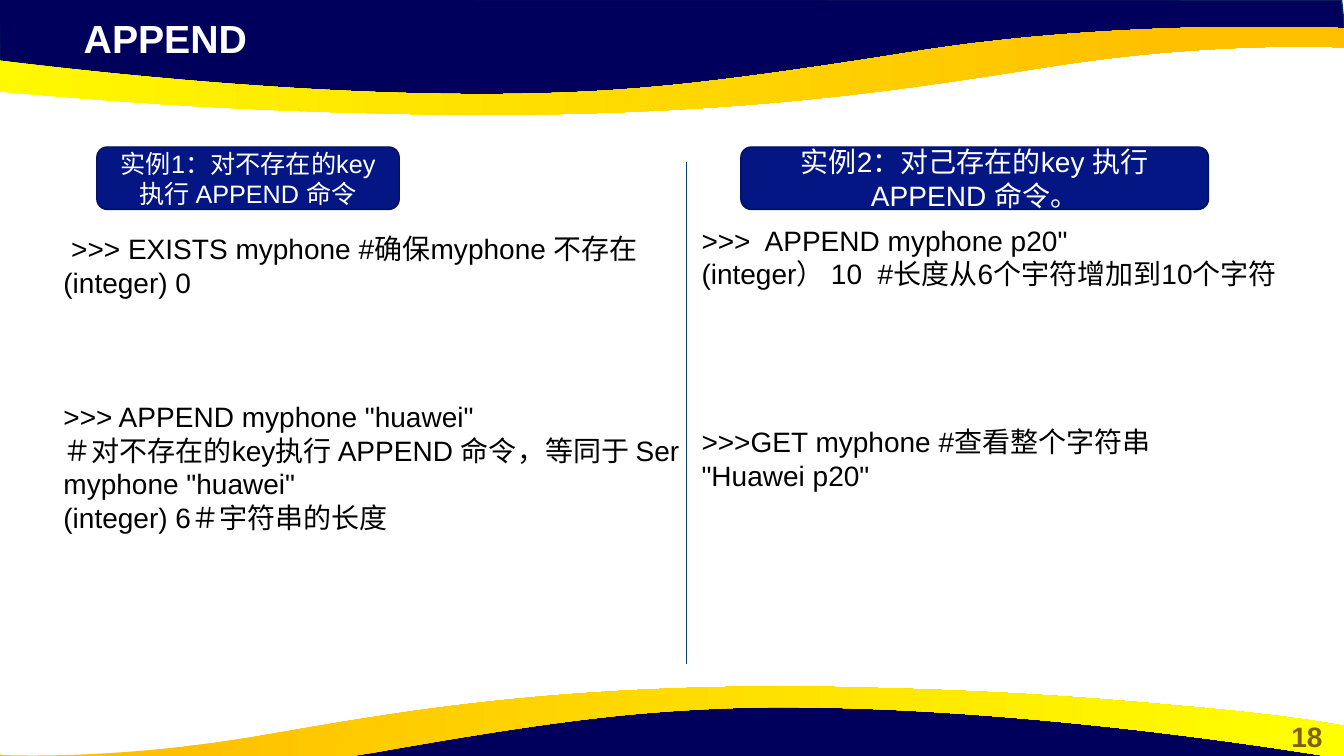
import pptx
import pptx.util
import pptx.dml.color
import pptx.enum.shapes
import pptx.enum.text
import pptx.oxml.ns
from dataclasses import dataclass
from lxml import etree

Pt = pptx.util.Pt
Align = pptx.enum.text.PP_ALIGN
Anchor = pptx.enum.text.MSO_ANCHOR
qualified = pptx.oxml.ns.qn

TITLE = "APPEND"
PAGE_NUMBER = "18"

# Labels: text, (left, top, width, height), type size
LABELS = [
    ("实例1：对不存在的key 执行 APPEND 命令", (69.2, 105, 216, 44.6), 18),
    ("实例2：对己存在的key 执行 APPEND 命令。", (529.2, 105, 334, 44.6), 20),
]

# Sessions: box, space between command groups, groups of lines
SESSIONS = [
    ((38.2, 162, 456, 225.4), 72, [
        [" >>> EXISTS myphone #确保myphone 不存在", "(integer) 0"],
        ['>>> APPEND myphone "huawei"',
         "＃对不存在的key执行 APPEND 命令，等同于 Ser",
         'myphone "huawei"',
         "(integer) 6＃宇符串的长度"],
    ]),
    ((494, 155.8, 453, 201), 96, [
        ['>>>  APPEND myphone p20"',
         "(integer） 10  #长度从6个宇符增加到10个字符"],
        [">>>GET myphone #查看整个字符串", '"Huawei p20"'],
    ]),
]

# Outlines: a single point is a straight step, three points are a Bezier curve
TOP_FIELD = [
    [(-0.7, -0.7)], [(0, 50.4)], [(211, 73.4)], [(402.5, 72)], [(572.4, 63.4)],
    [(731.5, 36)], [(891.4, 23.8)], [(961.2, 27.4)], [(958.3, 0)],
]
TOP_BAND = [
    [(347.8, 82.1)],
    [(319, 82.1), (288.7, 81.4), (256.3, 80.6)],
    [(148.3, 77.8), (79.2, 72), (25.9, 67.7)],
    [(-63.4, 60.5), (-93.6, 54), (-95.8, 54)],
    [(-95.8, 30.2), (-95.8, 30.2), (-95.8, 30.2)],
    [(-95.8, 30.2), (157, 70.6), (372.2, 67)],
    [(450.7, 65.5), (509.8, 59.8), (658.8, 36)],
    [(807.8, 13), (960, 20.2), (960, 20.2)],
    [(960, 23)], [(960, 33.8)], [(957.6, 33.8)],
    [(939.6, 33.1), (860.4, 31), (759.6, 46.1)],
    [(661, 61.2), (548.6, 81.4), (347.8, 82.1)],
]
BOTTOM_FIELD = [
    [(960, 571.7)], [(959, 521.3)], [(748.8, 497.5)], [(556.6, 499)],
    [(387.4, 508.3)], [(228.2, 535)], [(68.4, 547.2)], [(-2.2, 544.3)],
    [(0.7, 571)],
]
BOTTOM_BAND = [
    [(555.8, 490.3)],
    [(582.5, 490.3), (609.8, 491), (639.4, 491.8)],
    [(738, 494.6), (800.6, 500.4), (848.9, 504.7)],
    [(930.2, 511.9), (957.6, 518.4), (960, 518.4)],
    [(960, 542.2), (960, 542.2), (960, 542.2)],
    [(960, 542.2), (730, 501.8), (534.2, 505.4)],
    [(462.2, 507.6), (408.2, 512.6), (273.6, 536.4)],
    [(138.2, 560.2), (-0.7, 553), (-0.7, 553)],
    [(-0.7, 550)], [(-0.7, 538.6)], [(1.4, 539.3)],
    [(18, 540), (90, 541.4), (181.4, 526.3)],
    [(270.7, 511.2), (373.7, 491), (555.8, 490.3)],
]


@dataclass(frozen=True)
class Theme:
    font: str = "Arial"
    title_size: int = 28
    body_size: int = 20
    white: str = "FFFFFF"
    black: str = "000000"
    field: str = "00005C"
    field_line: str = "05304F"
    orange: str = "FFC000"
    yellow: str = "FFFF00"
    label: str = "031684"
    label_line: str = "021062"
    divider: str = "07416B"
    number: str = "806000"


THEME = Theme()


def color(value):
    return pptx.dml.color.RGBColor.from_string(value)


def points(values):
    return [Pt(value) for value in values]


def write(paragraph, text, size, ink, bold=False, align=Align.LEFT):
    paragraph.alignment = align
    run = paragraph.add_run()
    run.text = text
    run.font.name = THEME.font
    run.font.size = Pt(size)
    run.font.bold = bold
    run.font.color.rgb = color(ink)


def paint(shape, fill, line):
    shape.shadow.inherit = False
    shape.fill.solid()
    shape.fill.fore_color.rgb = color(fill)
    shape.line.color.rgb = color(line)
    shape.line.width = Pt(1)


def add_outline(slide, outline):
    """Draw the steps as straight lines, then bend those that are curves."""
    ends = [points(step[-1]) for step in outline]
    builder = slide.shapes.build_freeform(*ends[0])
    builder.add_line_segments(ends[1:], close=True)
    shape = builder.convert_to_shape()
    lines = list(shape.element.iter(qualified("a:lnTo")))
    for line, step in zip(lines, outline[1:]):
        if len(step) == 3:
            curve = etree.Element(qualified("a:cubicBezTo"))
            for x, y in map(points, step):
                etree.SubElement(curve, qualified("a:pt"),
                                 x=str(x - shape.left), y=str(y - shape.top))
            line.getparent().replace(line, curve)
    return shape


def add_wave(slide, field, band, stops):
    paint(add_outline(slide, field), THEME.field, THEME.field_line)
    shape = add_outline(slide, band)
    shape.shadow.inherit = False
    shape.line.fill.background()
    shape.fill.gradient()
    shape.fill.gradient_angle = 0
    for stop, (position, value) in zip(shape.fill.gradient_stops, stops):
        stop.position = position
        stop.color.rgb = color(value)


def add_text_box(slide, box):
    frame = slide.shapes.add_textbox(*points(box)).text_frame
    frame.word_wrap = True
    return frame


def add_title(slide):
    title = slide.shapes.title
    title.left, title.top, title.width, title.height = points((52.6, 6.2, 553, 41))
    title.text_frame.vertical_anchor = Anchor.MIDDLE
    write(title.text_frame.paragraphs[0], TITLE, THEME.title_size, THEME.white, bold=True)
    # The waves are drawn behind the title
    tree = title.element.getparent()
    tree.remove(title.element)
    tree.append(title.element)


def add_label(slide, text, box, size):
    shape = slide.shapes.add_shape(
        pptx.enum.shapes.MSO_SHAPE.ROUNDED_RECTANGLE, *points(box))
    paint(shape, THEME.label, THEME.label_line)
    shape.text_frame.word_wrap = True
    shape.text_frame.vertical_anchor = Anchor.MIDDLE
    write(shape.text_frame.paragraphs[0], text, size, THEME.white, align=Align.CENTER)


def add_divider(slide):
    divider = slide.shapes.add_connector(
        pptx.enum.shapes.MSO_CONNECTOR.STRAIGHT, *points((490.4, 116, 490.4, 474.6)))
    divider.line.color.rgb = color(THEME.divider)
    divider.line.width = Pt(0.5)
    etree.SubElement(divider.element.spPr, qualified("a:effectLst"))


def add_session(slide, box, gap, groups):
    frame = add_text_box(slide, box)
    paragraph = frame.paragraphs[0]
    for group_index, group in enumerate(groups):
        for line_index, line in enumerate(group):
            if group_index or line_index:
                paragraph = frame.add_paragraph()
            if group_index and not line_index:
                paragraph.space_before = Pt(gap)
            write(paragraph, line, THEME.body_size, THEME.black)


def main():
    presentation = pptx.Presentation()
    presentation.slide_width, presentation.slide_height = points((960, 540))
    slide = presentation.slides.add_slide(presentation.slide_layouts[5])
    add_wave(slide, TOP_FIELD, TOP_BAND, [(0, THEME.yellow), (0.89, THEME.orange)])
    add_wave(slide, BOTTOM_FIELD, BOTTOM_BAND, [(0.11, THEME.orange), (1, THEME.yellow)])
    number = add_text_box(slide, (907.2, 510.5, 52.6, 31.7))
    write(number.paragraphs[0], PAGE_NUMBER, THEME.body_size, THEME.number,
          bold=True, align=Align.CENTER)
    add_title(slide)
    for label in LABELS:
        add_label(slide, *label)
    add_divider(slide)
    for session in SESSIONS:
        add_session(slide, *session)
    presentation.save("out.pptx")


if __name__ == "__main__":
    main()
